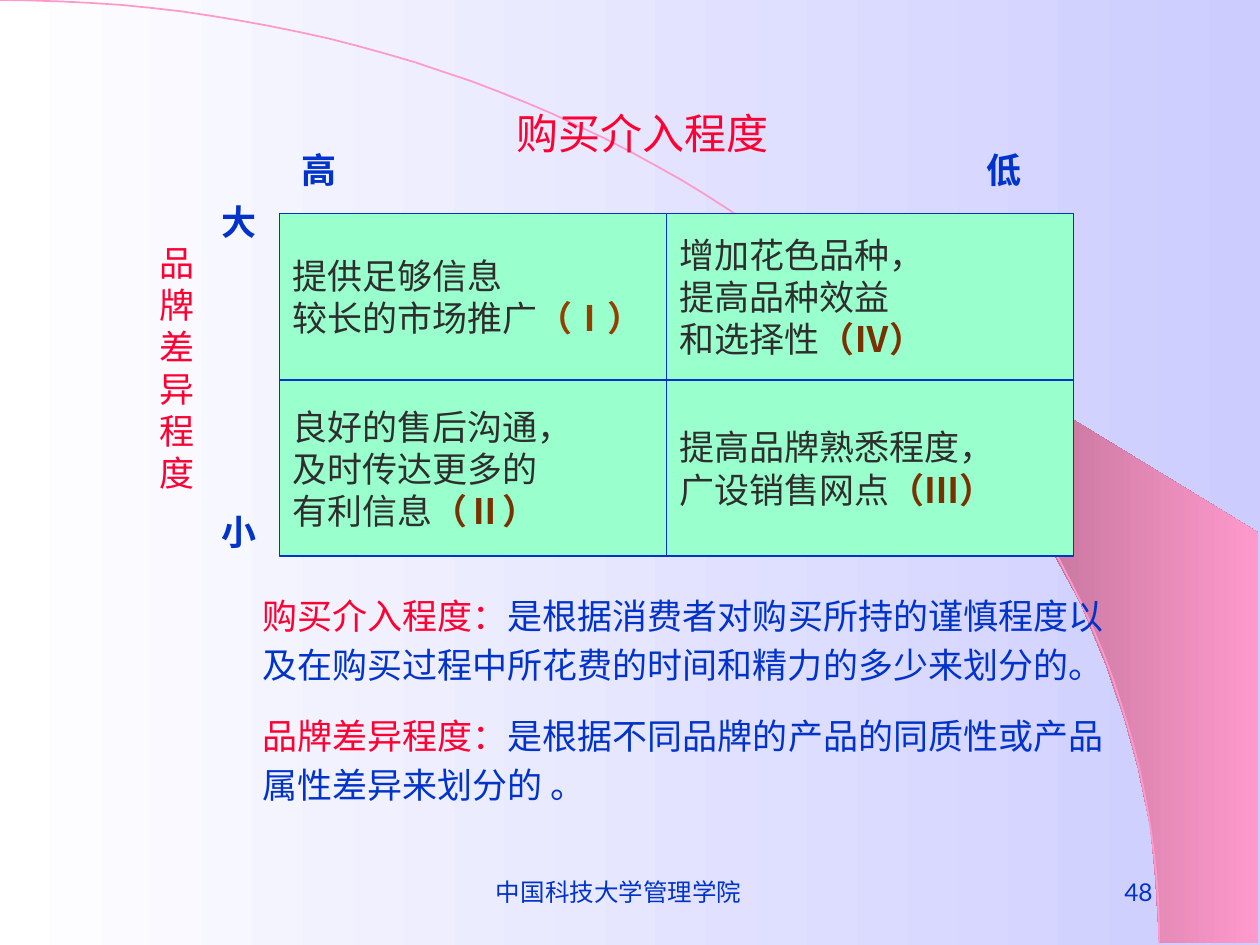
import math
from dataclasses import dataclass

from lxml import etree
from pptx import Presentation
from pptx import util as u
from pptx.dml.color import RGBColor
from pptx.enum import shapes, text
from pptx.oxml.ns import qn


@dataclass(frozen=True)
class Theme:
    font: str = "Noto Sans CJK SC"
    footer_font: str = "Lato"
    red: str = "FF0033"
    blue: str = "0033CC"
    dark: str = "2E2E2E"
    brown: str = "7A3100"
    light_brown: str = "963D00"
    mint: str = "99FFCC"
    pink: str = "FF99CC"
    plum: str = "76475E"
    white: str = "FFFFFF"
    lavender: str = "CCCCFF"
    heading: int = 24
    body: int = 20
    footer: int = 14


THEME = Theme()
LEFT, CENTER, RIGHT = text.PP_ALIGN.LEFT, text.PP_ALIGN.CENTER, text.PP_ALIGN.RIGHT
TOP, MIDDLE = text.MSO_ANCHOR.TOP, text.MSO_ANCHOR.MIDDLE


def rgb(value):
    return RGBColor.from_string(value)


class SlideBuilder:
    """Holds the theme and the current page; lengths are centimetres."""

    def __init__(self, page, theme):
        self.page, self.theme = page, theme

    def gradient(self, fill, start, end):
        fill.gradient()
        fill.gradient_angle = 0
        for stop, color in zip(fill.gradient_stops, (start, end)):
            stop.color.rgb = rgb(color)

    def set_lines(self, shape, lines, size=None, font=None, align=LEFT, anchor=TOP):
        """Each line is a list of (words, colour, bold) spans."""
        frame = shape.text_frame
        frame.word_wrap = True
        frame.auto_size = text.MSO_AUTO_SIZE.NONE
        frame.vertical_anchor = anchor
        for index, spans in enumerate(lines):
            para = frame.add_paragraph() if index else frame.paragraphs[0]
            para.alignment = align
            para.space_before = u.Pt(0)
            for words, color, bold in spans:
                span = para.add_run()
                span.text = words
                span.font.size = u.Pt(size or self.theme.body)
                span.font.name = font or self.theme.font
                span.font.bold = bold
                span.font.color.rgb = rgb(color)
                east = etree.SubElement(span.font._element, qn("a:ea"))
                east.set("typeface", self.theme.font)
        return frame

    def label(self, box, words, color, bold=False, **style):
        shape = self.page.shapes.add_textbox(*map(u.Cm, box))
        self.set_lines(shape, [[(words, color, bold)]], **style)

    def placeholder(self, shape, box, lines, **style):
        """Move a template placeholder into place, in front of earlier shapes."""
        shape.left, shape.top, shape.width, shape.height = map(u.Cm, box)
        element = shape._element
        element.getparent().append(element)
        return self.set_lines(shape, lines, **style)

    def cell(self, box, lines):
        shape = self.page.shapes.add_shape(shapes.MSO_SHAPE.RECTANGLE, *map(u.Cm, box))
        shape.shadow.inherit = False
        shape.fill.solid()
        shape.fill.fore_color.rgb = rgb(self.theme.mint)
        shape.line.color.rgb = rgb(self.theme.blue)
        shape.line.width = u.Pt(0.75)
        self.set_lines(shape, lines, anchor=MIDDLE)

    def outline(self, points, close):
        """Draw a freeform through points given in hundredths of a centimetre."""
        builder = self.page.shapes.build_freeform(*points[0], scale=u.Cm(0.01))
        builder.add_line_segments(points[1:], close=close)
        shape = builder.convert_to_shape()
        shape.shadow.inherit = False
        return shape


def main():
    deck = Presentation()
    deck.slide_width, deck.slide_height = u.Cm(25.4), u.Cm(19.05)
    page = deck.slides.add_slide(deck.slide_layouts[1])
    slide = SlideBuilder(page, THEME)

    # Background and pink sweep
    slide.gradient(page.background.fill, THEME.white, THEME.lavender)
    sweep = slide.outline([
        (2337, 1900), (2537, 1902), (2537, 1074), (1496, 439), (1585, 505),
        (1659, 564), (1740, 635), (1819, 711), (1935, 838), (2040, 975),
        (2113, 1095), (2179, 1217), (2230, 1341), (2268, 1453), (2294, 1547),
        (2319, 1666), (2329, 1768)], close=True)
    slide.gradient(sweep.fill, THEME.plum, THEME.pink)
    sweep.line.fill.background()

    # Quarter ellipse
    steps = 60
    angles = [math.pi / 2 * step / steps for step in range(steps + 1)]
    arc = slide.outline(
        [(2337 * math.sin(a), 1902 * (1 - math.cos(a))) for a in angles], close=False)
    arc.fill.background()
    arc.line.color.rgb = rgb(THEME.pink)
    arc.line.width = u.Pt(1)

    # Two-by-two matrix: plain lines, then a numeral closing the last one
    columns = [(5.64, 7.8), (13.44, 8.2)]
    rows = [(4.31, 3.35), (7.66, 3.55)]
    matrix = [
        [(["提供足够信息", "较长的市场推广"], "（Ⅰ）", THEME.light_brown),
         (["增加花色品种，", "提高品种效益", "和选择性"], "（Ⅳ）", THEME.brown)],
        [(["良好的售后沟通，", "及时传达更多的", "有利信息"], "（Ⅱ）", THEME.brown),
         (["提高品牌熟悉程度，", "广设销售网点"], "（Ⅲ）", THEME.brown)],
    ]
    for (top, height), cells in zip(rows, matrix):
        for (left, width), (lines, numeral, color) in zip(columns, cells):
            spans = [[(line, THEME.dark, False)] for line in lines]
            spans[-1].append((numeral, color, True))
            slide.cell((left, top, width, height), spans)

    # Axis titles and ends
    title, body = page.placeholders
    slide.placeholder(title, (9.83, 2.03, 6.25, 1.27),
                      [[("购买介入程度", THEME.red, False)]],
                      size=THEME.heading, align=CENTER)
    slide.label((2.97, 4.75, 1.4, 5.33), "品牌差异程度", THEME.red)
    for left, top, words in [(5.82, 2.87, "高"), (19.63, 2.87, "低"),
                             (4.22, 3.91, "大"), (4.22, 10.16, "小")]:
        slide.label((left, top, 1.2, 1.12), words, THEME.blue, bold=True)

    # Definitions
    frame = slide.placeholder(body, (5.03, 11.71, 17.6, 4.65), [
        [("购买介入程度：", THEME.red, False),
         ("是根据消费者对购买所持的谨慎程度以及在购买过程中所花费的时间和精力的多少来划分的。",
          THEME.blue, False)],
        [("品牌差异程度：", THEME.red, False),
         ("是根据不同品牌的产品的同质性或产品属性差异来划分的 。", THEME.blue, False)],
    ])
    for para in frame.paragraphs:
        para.line_spacing = u.Pt(28)
        properties = para._p.get_or_add_pPr()
        properties.set("marL", "0")
        properties.set("indent", "0")
        etree.SubElement(properties, qn("a:buNone"))
    frame.paragraphs[1].space_before = u.Pt(12.5)

    # Footer
    footer = dict(size=THEME.footer, font=THEME.footer_font, anchor=MIDDLE)
    slide.label((8.45, 17.35, 8.05, 1.27), "中国科技大学管理学院", THEME.blue,
                align=CENTER, **footer)
    slide.label((18.21, 17.35, 5.28, 1.27), "48", THEME.blue, align=RIGHT, **footer)

    deck.save("out.pptx")


if __name__ == "__main__":
    main()
